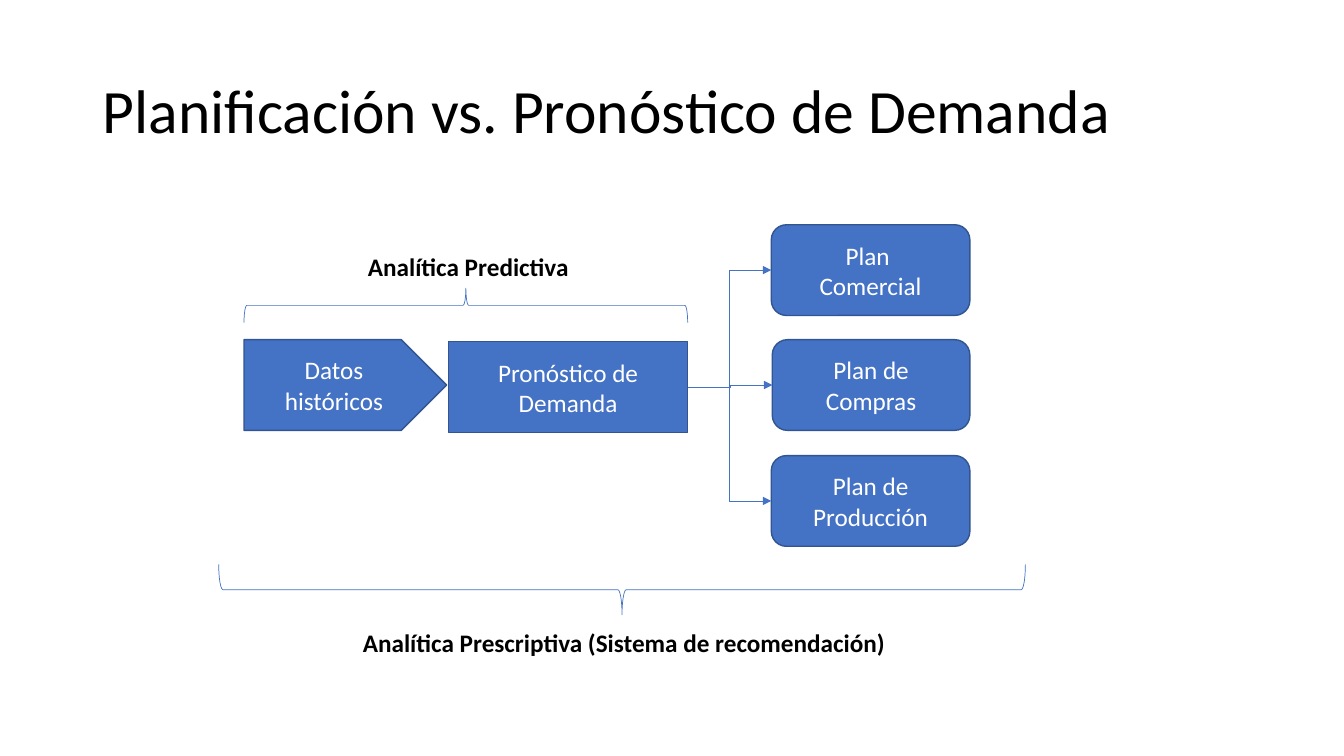
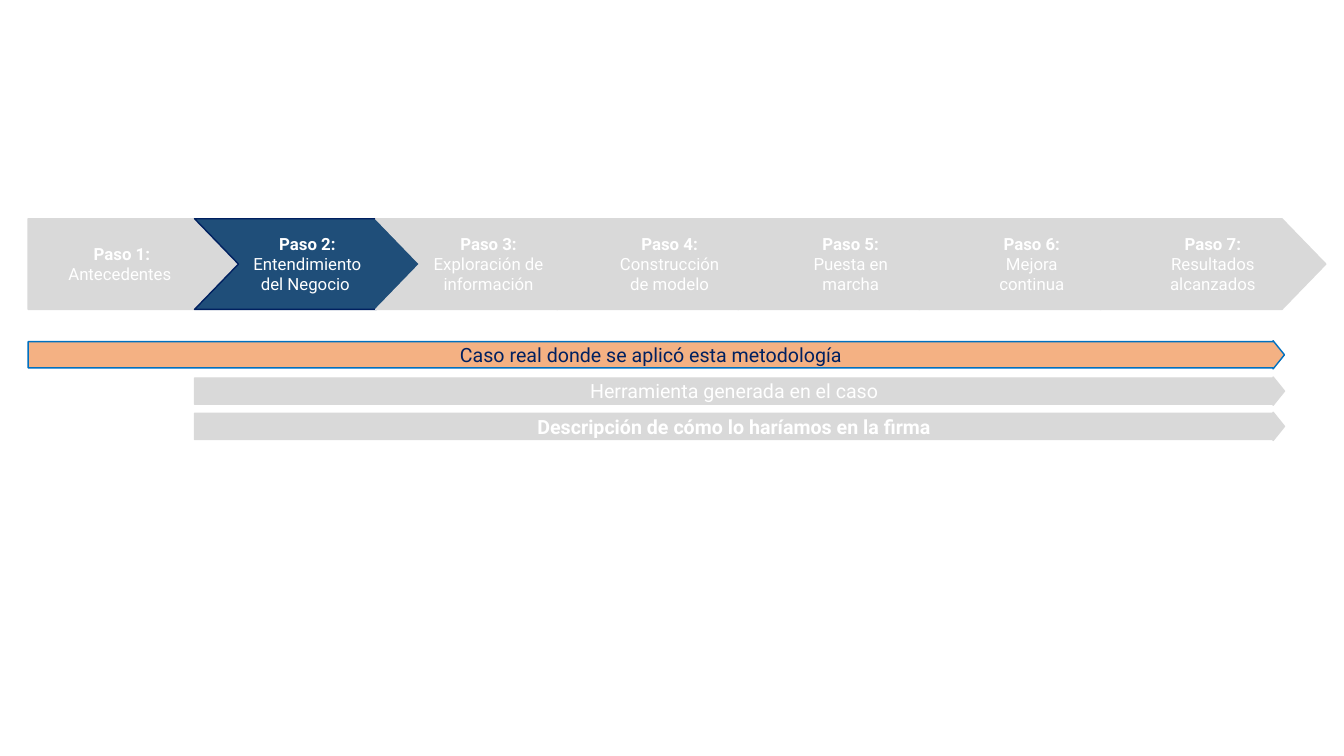
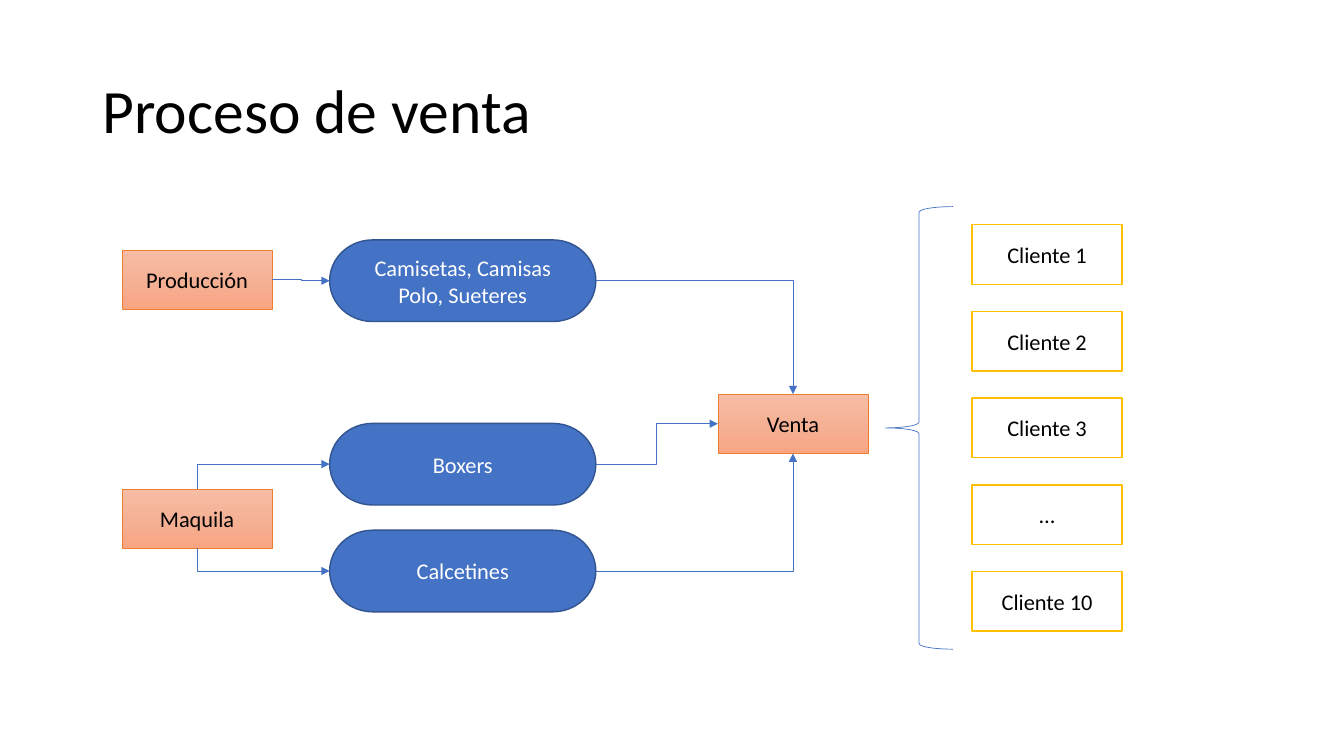
"""Build three slides on demand planning, project steps and the sales process."""
from copy import deepcopy

from lxml.etree import SubElement
from pptx import Presentation
from pptx.dml.color import RGBColor
from pptx.enum.shapes import MSO_CONNECTOR as CONNECTOR, MSO_SHAPE as SHAPE
from pptx.enum.text import MSO_ANCHOR as ANCHOR, PP_ALIGN as ALIGN
from pptx.oxml.ns import qn
from pptx.util import Inches, Pt

WHITE, BLACK, BLUE, DARK_BLUE = "FFFFFF", "000000", "4472C4", "325491"
GREY, NAVY, ORANGE, GOLD = "D9D9D9", "002060", "ED7D31", "FFC000"
TOP, LEFT, BOTTOM, RIGHT = range(4)

TITLE = {"font": "Calibri", "size": 44, "color": BLACK}
PLAN = {"font": "Calibri", "size": 18, "color": WHITE}
LABEL = {"font": "Calibri", "size": 18, "color": BLACK}
PRODUCT = {"font": "Calibri", "size": 16, "color": WHITE}
STAGE = {"font": "Calibri", "size": 16, "color": BLACK}
STEP = {"font": "Roboto", "size": 12, "color": WHITE}

BLUE_BOX = {"fill": BLUE, "line": DARK_BLUE}
GREY_BOX = {"fill": GREY, "line": GREY}
ACTIVE_BOX = {"fill": "1F4E79", "line": NAVY}
CASE_BOX = {"fill": "F4B183", "line": "0070C0"}
CLIENT_BOX = {"fill": WHITE, "line": GOLD}
STAGE_BOX = {"fill": ["F7BDA5", "F5B196", "F8A582"], "line": ORANGE, "width": 0.5}
BRACE = {"fill": None, "line": BLUE, "width": 0.5}

PLANS = [("Plan \nComercial", 7.65, 2.23, 1.97),
         ("Plan de Compras", 7.66, 3.37, 1.96),
         ("Plan de Producción", 7.65, 4.52, 1.97)]
ANALYTICS = [("Analítica Predictiva", (3.54, 2.44, 2.21, 0.4),
              (4.45, 0.83, 0.34, 4.4), 90),
             ("Analítica Prescriptiva (Sistema de recomendación)",
              (3.48, 6.17, 5.42, 0.4), (5.92, 1.85, 0.5, 8), 270)]

STEPS = ["Antecedentes ", "Entendimiento del Negocio ",
         "Exploración de información", "Construcción de modelo",
         "Puesta en marcha", "Mejora continua", "Resultados alcanzados"]
ACTIVE_STEP = 2
BARS = [("Caso real donde se aplicó esta metodología", 0.28, 3.38, CASE_BOX, NAVY, 0),
        ("Herramienta generada en el caso", 1.93, 3.74, GREY_BOX, WHITE, 0),
        ("Descripción de cómo lo haríamos en la firma", 1.93, 4.09, GREY_BOX, WHITE, 1)]
BARS_END = 12.74

PRODUCTS = [("Camisetas, Camisas Polo, Sueteres", 2.38), ("Boxers", 4.2),
            ("Calcetines", 5.26)]
STAGES = [("Producción", 1.21, 2.48), ("Maquila", 1.21, 4.85), ("Venta", 7.12, 3.91)]
FLOWS = [("Producción", RIGHT, "Camisetas, Camisas Polo, Sueteres", LEFT),
         ("Maquila", TOP, "Boxers", LEFT),
         ("Maquila", BOTTOM, "Calcetines", LEFT),
         ("Camisetas, Camisas Polo, Sueteres", RIGHT, "Venta", TOP),
         ("Boxers", RIGHT, "Venta", LEFT),
         ("Calcetines", RIGHT, "Venta", BOTTOM)]
CLIENTS = ["Cliente 1", "Cliente 2", "Cliente 3", "…", "Cliente 10"]


def rgb(color):
    return RGBColor.from_string(color)


def write(shape, text, style, bold_lines=0, align=ALIGN.CENTER):
    frame = shape.text_frame
    frame.text = text
    for index, paragraph in enumerate(frame.paragraphs):
        paragraph.alignment = align
        formats = {"name": style["font"], "size": Pt(style["size"]),
                   "bold": index < bold_lines}
        for name, value in formats.items():
            setattr(paragraph.font, name, value)
            setattr(paragraph.runs[0].font, name, value)
        paragraph.runs[0].font.color.rgb = rgb(style["color"])


def paint(shape, fill, line, width=1):
    if fill is None:
        shape.fill.background()
    elif isinstance(fill, list):
        shape.fill.gradient()
        shape.fill.gradient_angle = 270
        stop_list = shape.element.spPr.find(qn("a:gradFill")).find(qn("a:gsLst"))
        stop_list.insert(1, deepcopy(stop_list[0]))
        for index, stop in enumerate(shape.fill.gradient_stops):
            stop.position = index / (len(fill) - 1)
            stop.color.rgb = rgb(fill[index])
    else:
        shape.fill.solid()
        shape.fill.fore_color.rgb = rgb(fill)
    shape.line.color.rgb = rgb(line)
    shape.line.width = Pt(width)


def add_box(slide, kind, box, look, text="", style=None, adjustments=(), bold_lines=0):
    shape = slide.shapes.add_shape(kind, *map(Inches, box))
    shape.shadow.inherit = False
    paint(shape, **look)
    for index, value in enumerate(adjustments):
        shape.adjustments[index] = value
    if text:
        write(shape, text, style, bold_lines)
    return shape


def add_brace(slide, box, rotation=0):
    add_box(slide, SHAPE.LEFT_BRACE, box, BRACE).rotation = rotation


def add_label(slide, box, text):
    label = slide.shapes.add_textbox(*map(Inches, box))
    label.text_frame.word_wrap = False
    write(label, text, LABEL, bold_lines=1)


def add_title(slide, text):
    title = slide.shapes.add_textbox(*map(Inches, (0.92, 0.4, 11.5, 1.45)))
    title.text_frame.word_wrap = True
    title.text_frame.vertical_anchor = ANCHOR.MIDDLE
    write(title, text, TITLE, align=ALIGN.LEFT)
    title.text_frame.paragraphs[0].line_spacing = 0.9


def add_arrow(slide, source, source_side, target, target_side):
    arrow = slide.shapes.add_connector(CONNECTOR.ELBOW, 0, 0, 0, 0)
    arrow.begin_connect(source, source_side)
    arrow.end_connect(target, target_side)
    arrow.line.color.rgb = rgb(BLUE)
    arrow.line.width = Pt(0.5)
    properties = arrow.element.spPr
    SubElement(properties.find(qn("a:ln")), qn("a:tailEnd"), type="triangle")
    SubElement(properties, qn("a:effectLst"))
    if source_side % 2 != target_side % 2:
        properties.find(qn("a:prstGeom")).set("prst", "bentConnector2")
    if source_side in (TOP, BOTTOM):
        turn_upright(arrow, source_side == TOP)


def turn_upright(arrow, upward):
    shift = (arrow.width - arrow.height) // 2
    box = {"left": arrow.left + shift, "top": arrow.top - shift,
           "width": arrow.height, "height": arrow.width}
    for name, value in box.items():
        setattr(arrow, name, value)
    transform = arrow.element.spPr.find(qn("a:xfrm"))
    transform.set("rot", str((90 if upward else 270) * 60000))
    transform.set("flipH", "1")
    transform.set("flipV", "1" if upward else "0")


def build_planning(slide):
    add_title(slide, "Planificación vs. Pronóstico de Demanda")
    add_box(slide, SHAPE.PENTAGON, (2.42, 3.37, 2.01, 0.9), BLUE_BOX,
            "Datos históricos", PLAN)
    forecast = add_box(slide, SHAPE.NOTCHED_RIGHT_ARROW, (4.45, 3.39, 2.37, 0.9),
                       BLUE_BOX, "Pronóstico de Demanda", PLAN, (1, 0))
    for text, left, top, width in PLANS:
        plan = add_box(slide, SHAPE.ROUNDED_RECTANGLE, (left, top, width, 0.9),
                       BLUE_BOX, text, PLAN)
        add_arrow(slide, forecast, RIGHT, plan, LEFT)
    for text, label_box, brace_box, rotation in ANALYTICS:
        add_label(slide, label_box, text)
        add_brace(slide, brace_box, rotation)


def build_steps(slide):
    for number, text in enumerate(STEPS, 1):
        if number == 1:
            kind, left, width, adjustments = SHAPE.PENTAGON, 0.28, 2.07, (0.468,)
        else:
            kind, width, adjustments = SHAPE.NOTCHED_RIGHT_ARROW, 2.24, (1, 0.484)
            left = 1.93 + 1.796 * (number - 2)
        look = ACTIVE_BOX if number == ACTIVE_STEP else GREY_BOX
        add_box(slide, kind, (left, 2.17, width, 0.9), look,
                f"Paso {number}:\n{text}", STEP, adjustments, bold_lines=1)
    for text, left, top, look, color, bold_lines in BARS:
        add_box(slide, SHAPE.RIGHT_ARROW, (left, top, BARS_END - left, 0.28), look, text,
                {"font": "Roboto", "size": 14, "color": color}, (0.931, 0.402), bold_lines)


def build_sales(slide):
    add_title(slide, "Proceso de venta")
    nodes = {}
    for text, top in PRODUCTS:
        nodes[text] = add_box(slide, SHAPE.FLOWCHART_TERMINATOR, (3.27, top, 2.64, 0.81),
                              BLUE_BOX, text, PRODUCT)
    for text, left, top in STAGES:
        nodes[text] = add_box(slide, SHAPE.RECTANGLE, (left, top, 1.49, 0.59),
                              STAGE_BOX, text, STAGE)
    for source, source_side, target, target_side in FLOWS:
        add_arrow(slide, nodes[source], source_side, nodes[target], target_side)
    for index, text in enumerate(CLIENTS):
        add_box(slide, SHAPE.RECTANGLE, (9.64, 2.23 + 0.86 * index, 1.49, 0.59),
                CLIENT_BOX, text, STAGE)
    add_brace(slide, (8.78, 2.05, 0.67, 4.39))


presentation = Presentation()
presentation.slide_width, presentation.slide_height = Inches(13.33), Inches(7.5)
for build in (build_planning, build_steps, build_sales):
    build(presentation.slides.add_slide(presentation.slide_layouts[6]))
presentation.save("out.pptx")
